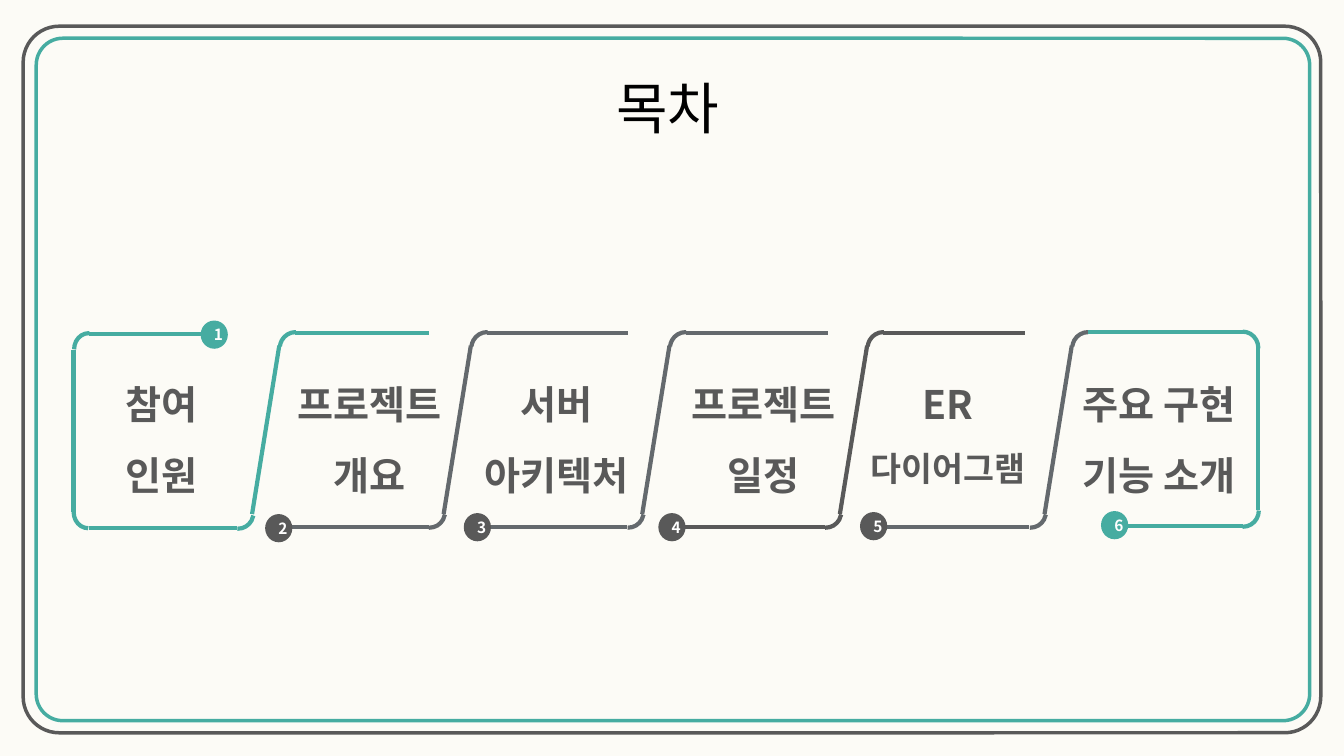
from dataclasses import dataclass

from lxml import etree
from pptx import Presentation
from pptx import util as u
from pptx.dml.color import RGBColor
from pptx.enum import shapes, text
from pptx.oxml.ns import qn


@dataclass(frozen=True)
class Theme:
    font: str = "Noto Sans CJK KR"
    paper: str = "FCFBF6"
    teal: str = "46ACA1"
    slate: str = "64696D"
    dark: str = "595959"
    black: str = "000000"
    white: str = "FFFFFF"
    title_size: float = 40
    label_size: float = 28
    small_label_size: float = 24
    badge_size: float = 11
    ribbon_weight: float = 3
    frame_weight: float = 2.5


class AgendaSlide:
    def __init__(self, deck, theme):
        self.theme = theme
        self.slide = deck.slides.add_slide(deck.slide_layouts[5])
        background = self.slide.background.fill
        background.solid()
        background.fore_color.rgb = RGBColor.from_string(theme.paper)

    def apply(self, target, **values):
        for name, value in values.items():
            setattr(target, name, value)

    def add_words(self, paragraph, words, size, color, bold=True):
        run = paragraph.add_run()
        run.text = words
        self.apply(run.font, name=self.theme.font, size=u.Pt(size), bold=bold)
        run.font.color.rgb = RGBColor.from_string(color)
        east_asian = etree.SubElement(run.font._element, qn("a:ea"))
        east_asian.set("typeface", self.theme.font)

    def outline(self, line, color, weight):
        line.color.rgb = RGBColor.from_string(color)
        line.width = u.Pt(weight)

    def title(self, words, left, top, width, height):
        heading = self.slide.shapes.title
        self.apply(heading, left=u.Inches(left), top=u.Inches(top),
                   width=u.Inches(width), height=u.Inches(height))
        self.apply(heading.text_frame, word_wrap=False,
                   auto_size=text.MSO_AUTO_SIZE.SHAPE_TO_FIT_TEXT,
                   vertical_anchor=text.MSO_ANCHOR.TOP)
        paragraph = heading.text_frame.paragraphs[0]
        self.apply(paragraph, alignment=text.PP_ALIGN.LEFT, line_spacing=1.0)
        self.add_words(paragraph, words, self.theme.title_size, self.theme.black, False)

    def shape(self, kind, left, top, width, height, adjustments=()):
        added = self.slide.shapes.add_shape(
            kind, *map(u.Inches, (left, top, width, height)))
        added.shadow.inherit = False
        for index, value in enumerate(adjustments):
            added.adjustments[index] = value
        return added

    def frame(self, left, top, width, height, rounding, color):
        border = self.shape(shapes.MSO_SHAPE.ROUNDED_RECTANGLE,
                            left, top, width, height, [rounding])
        border.fill.background()
        self.outline(border.line, color, self.theme.frame_weight)

    def stroke(self, start, end, color):
        segment = self.slide.shapes.add_connector(
            shapes.MSO_CONNECTOR.STRAIGHT, *map(u.Inches, (*start, *end)))
        self.outline(segment.line, color, self.theme.ribbon_weight)
        etree.SubElement(segment._element.spPr, qn("a:effectLst"))

    def corner(self, left, top, rotation, sweep, color, width=0.32, height=0.31):
        bend = self.shape(shapes.MSO_SHAPE.ARC, left, top, width, height, sweep)
        bend.rotation = rotation
        bend.fill.background()
        self.outline(bend.line, color, self.theme.ribbon_weight)

    def divider(self, turn, bottom_start, top_end, base, color):
        peak = turn + 0.42
        self.stroke((bottom_start, base), (turn, base), color)
        self.corner(turn - 0.15, base - 0.31, 90, (168.607, 1.459), color)
        self.stroke((turn + 0.15, 5.1), (peak, 3.43), color)
        self.corner(peak, 3.3, 270, (166.35, 1.263), color)
        if top_end:
            self.stroke((peak + 0.16, 3.3), (top_end, 3.3), color)

    def badge(self, number, left, top, color):
        disc = self.shape(shapes.MSO_SHAPE.OVAL, left, top, 0.27, 0.28)
        disc.fill.solid()
        disc.fill.fore_color.rgb = RGBColor.from_string(color)
        disc.line.fill.background()
        disc.text_frame.vertical_anchor = text.MSO_ANCHOR.MIDDLE
        paragraph = disc.text_frame.paragraphs[0]
        paragraph.alignment = text.PP_ALIGN.CENTER
        self.add_words(paragraph, str(number), self.theme.badge_size, self.theme.white)

    def label(self, lines, left, width, last_size):
        box = self.slide.shapes.add_textbox(
            *map(u.Inches, (left, 3.49, width, 1.5)))
        self.apply(box.text_frame, word_wrap=True,
                   auto_size=text.MSO_AUTO_SIZE.SHAPE_TO_FIT_TEXT)
        for index, words in enumerate(lines):
            paragraph = (box.text_frame.add_paragraph() if index
                         else box.text_frame.paragraphs[0])
            self.apply(paragraph, alignment=text.PP_ALIGN.CENTER, line_spacing=1.5)
            size = last_size if index else self.theme.label_size
            self.add_words(paragraph, words, size, self.theme.dark)


def main():
    theme = Theme()
    deck = Presentation()
    deck.slide_width, deck.slide_height = u.Inches(13.33), u.Inches(7.5)
    agenda = AgendaSlide(deck, theme)
    teal, slate, dark = theme.teal, theme.slate, theme.dark

    agenda.frame(0.36, 0.38, 12.63, 6.77, 0.039, teal)
    agenda.frame(0.23, 0.26, 12.87, 7.01, 0.051, dark)
    agenda.title("목차", 6.01, 0.68, 1.32, 0.76)

    agenda.corner(0.72, 3.32, 270, (162, 1.172), teal, height=0.29)
    agenda.stroke((0.88, 3.31), (2.04, 3.31), teal)
    agenda.stroke((0.73, 3.47), (0.73, 5.08), teal)
    agenda.corner(0.73, 4.92, 180, (162, 0.945), teal, 0.29, 0.32)

    dividers = [
        (2.35, 0.88, 4.25, 5.24, teal),
        (4.25, 2.71, 6.23, 5.23, slate),
        (6.22, 4.68, 8.21, 5.23, slate),
        (8.18, 6.64, 10.17, 5.23, dark),
        (10.21, 8.67, None, 5.23, slate),
    ]
    for divider in dividers:
        agenda.divider(*divider)

    agenda.stroke((12.33, 3.29), (10.79, 3.29), teal)
    agenda.corner(12.17, 3.29, 0, (162, 0.945), teal, 0.31, 0.32)
    agenda.stroke((12.48, 5.06), (12.48, 3.45), teal)
    agenda.corner(12.17, 4.91, 90, (162, 1.172), teal)
    agenda.stroke((12.33, 5.22), (11.11, 5.22), teal)

    full, small = theme.label_size, theme.small_label_size
    topics = [
        (["참여", "인원"], 0.74, 1.73, full, 1.99, 3.18, teal),
        (["프로젝트 개요"], 2.69, 1.95, full, 2.63, 5.1, dark),
        (["서버", "아키텍처"], 4.54, 1.95, full, 4.6, 5.09, dark),
        (["프로젝트", "일정"], 6.6, 1.95, full, 6.53, 5.09, dark),
        (["ER", "다이어그램"], 8.43, 1.95, small, 8.53, 5.08, dark),
        (["주요 구현", "기능 소개"], 10.52, 1.95, full, 10.92, 5.07, teal),
    ]
    for number, topic in enumerate(topics, 1):
        lines, left, width, last_size, badge_left, badge_top, color = topic
        agenda.label(lines, left, width, last_size)
        agenda.badge(number, badge_left, badge_top, color)

    deck.save("out.pptx")


if __name__ == "__main__":
    main()
